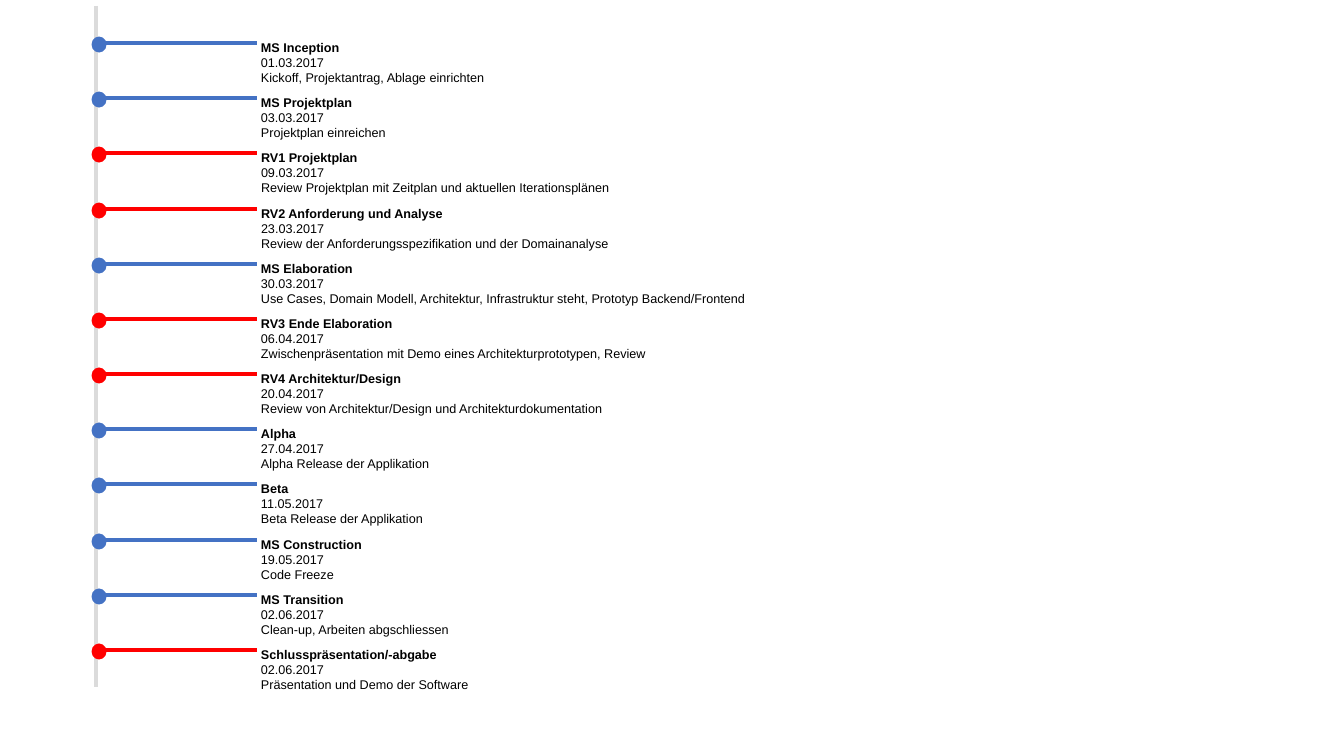
"""Build a slide with a vertical timeline of project milestones and reviews."""
from lxml import etree
from pptx import Presentation
from pptx.dml.color import RGBColor
from pptx.enum.shapes import MSO_CONNECTOR, MSO_SHAPE
from pptx.oxml.ns import qn
from pptx.util import Emu, Pt

BLUE = RGBColor(0x44, 0x72, 0xC4)
RED = RGBColor(0xFF, 0x00, 0x00)
GREY = RGBColor(0xDB, 0xDB, 0xDB)
BLACK = RGBColor(0x00, 0x00, 0x00)

SCALE = 914400 / 100.8
FIRST_Y, LAST_Y = 43, 650
AXIS_X, BRANCH_LEFT, BRANCH_RIGHT = 96, 99, 257
DOT_LEFT, DOT_WIDTH, DOT_HEIGHT = 91, 16, 15
TEXT_LEFT, TEXT_HEIGHT, TEXT_INSET = 258, 45, 3

EVENTS = [
    (BLUE, 259, "MS Inception", "01.03.2017", "Kickoff, Projektantrag, Ablage einrichten"),
    (BLUE, 259, "MS Projektplan", "03.03.2017", "Projektplan einreichen"),
    (RED, 415, "RV1 Projektplan", "09.03.2017",
     "Review Projektplan mit Zeitplan und aktuellen Iterationsplänen"),
    (RED, 438, "RV2 Anforderung und Analyse", "23.03.2017",
     "Review der Anforderungsspezifikation und der Domainanalyse"),
    (BLUE, 496, "MS Elaboration", "30.03.2017",
     "Use Cases, Domain Modell, Architektur, Infrastruktur steht, Prototyp Backend/Frontend"),
    (RED, 496, "RV3 Ende Elaboration", "06.04.2017",
     "Zwischenpräsentation mit Demo eines Architekturprototypen, Review"),
    (RED, 412, "RV4 Architektur/Design", "20.04.2017",
     "Review von Architektur/Design und Architekturdokumentation"),
    (BLUE, 259, "Alpha", "27.04.2017", "Alpha Release der Applikation"),
    (BLUE, 259, "Beta", "11.05.2017", "Beta Release der Applikation"),
    (BLUE, 259, "MS Construction", "19.05.2017", "Code Freeze"),
    (BLUE, 259, "MS Transition", "02.06.2017", "Clean-up, Arbeiten abgschliessen"),
    (RED, 259, "Schlusspräsentation/-abgabe", "02.06.2017", "Präsentation und Demo der Software"),
]


def px(*lengths):
    return [Emu(round(length * SCALE)) for length in lengths]


def add_line(x1, y1, x2, y2, color):
    line = slide.shapes.add_connector(MSO_CONNECTOR.STRAIGHT, *px(x1, y1, x2, y2))
    line.line.color.rgb = color
    line.line.width = Pt(3)
    etree.SubElement(line._element.spPr, qn("a:effectLst"))


prs = Presentation()
prs.slide_width, prs.slide_height = px(1344, 756)
slide = prs.slides.add_slide(prs.slide_layouts[6])

add_line(AXIS_X, 6, AXIS_X, 687, GREY)

pitch = (LAST_Y - FIRST_Y) / (len(EVENTS) - 1)
for row, (color, text_width, *texts) in enumerate(EVENTS):
    y = round(FIRST_Y + row * pitch)
    add_line(BRANCH_RIGHT, y, BRANCH_LEFT, y, color)

    dot = slide.shapes.add_shape(
        MSO_SHAPE.OVAL, *px(DOT_LEFT, y - 6, DOT_WIDTH, DOT_HEIGHT))
    dot.rotation = 90
    dot.shadow.inherit = False
    dot.fill.solid()
    dot.fill.fore_color.rgb = color
    dot.line.fill.background()

    box = slide.shapes.add_textbox(*px(TEXT_LEFT, y - 6, text_width, TEXT_HEIGHT))
    frame = box.text_frame
    frame.word_wrap = True
    frame.margin_left, frame.margin_top, frame.margin_right, frame.margin_bottom = px(
        *[TEXT_INSET] * 4)
    frame.text = "\n".join(texts)
    for index, paragraph in enumerate(frame.paragraphs):
        font = paragraph.runs[0].font
        font.name = "Arial"
        font.size = Pt(9)
        font.bold = index == 0
        font.color.rgb = BLACK

prs.save("out.pptx")
